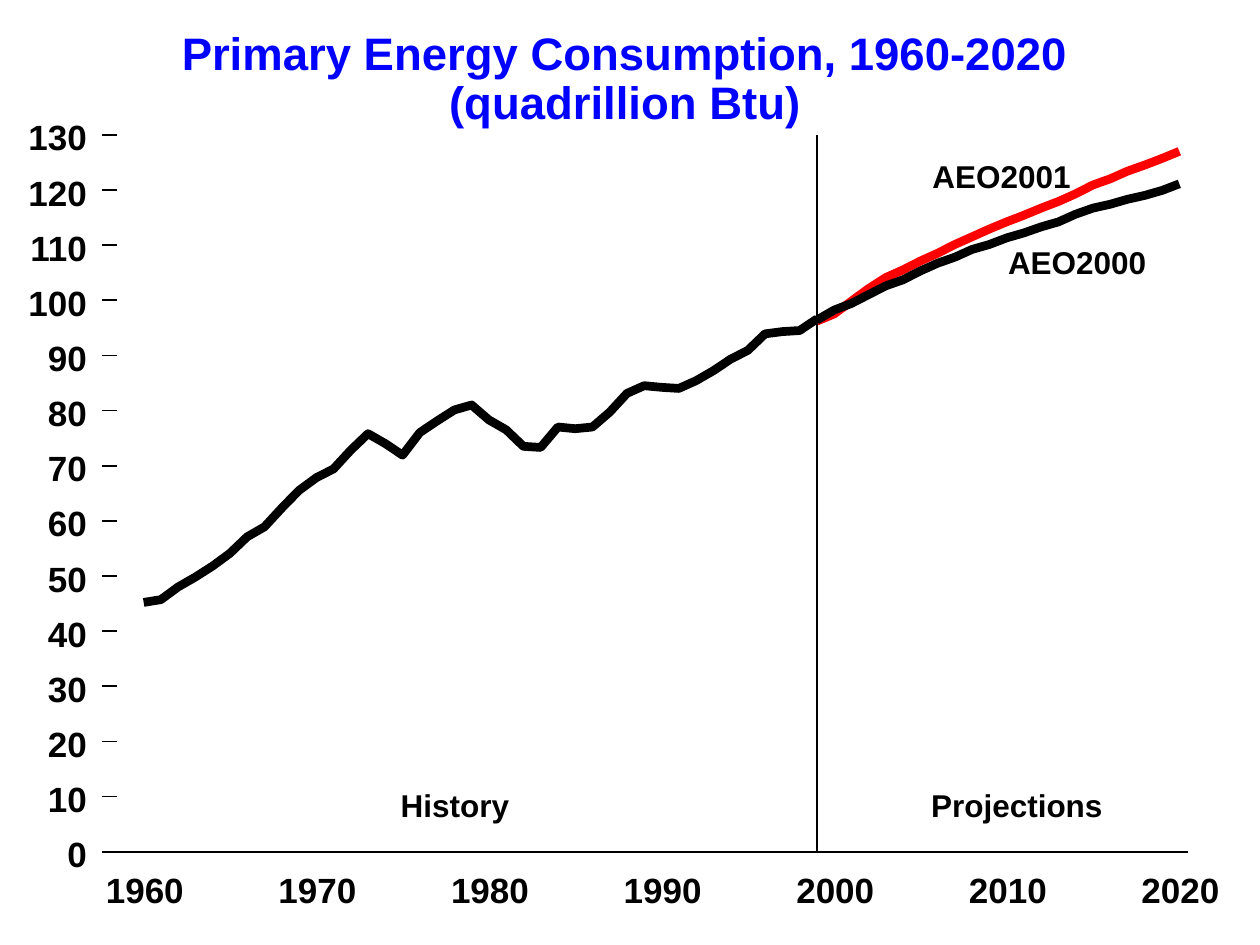
from dataclasses import dataclass

from lxml import etree
from pptx import Presentation
from pptx import util as u
from pptx.dml.color import RGBColor
from pptx.enum import shapes, text
from pptx.oxml import ns

COLORS = {"title": "0000FF", "ink": "000000", "aeo2001": "FF0000"}
FONT = "Arial"
FIRST_YEAR, LAST_YEAR, SPLIT_YEAR = 1960, 2020, 1999
TOP_VALUE, STEP = 130, 10
YEAR_LEFT, YEAR_WIDTH = 1.14, 0.137
AXIS_Y, AXIS_TOP = 6.76, 1.07
TICK_LEFT, AXIS_LEFT, AXIS_RIGHT = 0.81, 0.93, 9.43
LABEL_RIGHT, DIGIT_WIDTH, LABEL_HEIGHT = 0.69, 0.16, 0.33


@dataclass
class Series:
    start: int
    values: list[float]
    color: str


@dataclass
class Label:
    wording: str
    left: float
    top: float
    width: float
    height: float = 0.3
    size: int = 18
    color: str = "ink"
    align: text.PP_ALIGN = text.PP_ALIGN.LEFT
    spacing: float = 1.0


SERIES = [
    Series(SPLIT_YEAR, [
        96.2, 97.5, 99.8, 102.1, 104.1, 105.5, 107.1, 108.5, 110.1, 111.5, 112.9,
        114.2, 115.4, 116.7, 117.9, 119.3, 120.9, 122.0, 123.4, 124.5, 125.7, 127.0,
    ], "aeo2001"),
    Series(SPLIT_YEAR, [
        96.4, 98.2, 99.4, 101.0, 102.6, 103.7, 105.3, 106.7, 107.8, 109.2, 110.1,
        111.3, 112.2, 113.3, 114.2, 115.6, 116.7, 117.4, 118.3, 119.0, 119.9, 121.1,
    ], "ink"),
    Series(FIRST_YEAR, [
        45.2, 45.7, 48.0, 49.8, 51.8, 54.1, 57.1, 58.9, 62.3, 65.5,
        67.8, 69.4, 72.8, 75.8, 74.0, 71.9, 76.0, 78.1, 80.1, 81.0,
        78.3, 76.5, 73.5, 73.3, 77.0, 76.7, 77.0, 79.7, 83.1, 84.5,
        84.2, 84.0, 85.4, 87.2, 89.3, 90.9, 93.9, 94.3, 94.5, 96.6,
    ], "ink"),
]

TITLE = Label("Primary Energy Consumption, 1960-2020\n(quadrillion Btu)",
              1.44, 0.25, 7.04, 0.78, 26, "title", text.PP_ALIGN.CENTER, 0.9)
NOTES = [
    Label("History", 3.18, 6.24, 0.9),
    Label("Projections", 7.39, 6.24, 1.4),
    Label("AEO2001", 7.4, 1.25, 1.12),
    Label("AEO2000", 8, 1.93, 1.12),
]


def year_x(year: int) -> float:
    return YEAR_LEFT + (year - FIRST_YEAR) * YEAR_WIDTH


def value_y(value: float) -> float:
    return AXIS_Y - value * (AXIS_Y - AXIS_TOP) / TOP_VALUE


def draw_label(page, label: Label) -> None:
    box = page.shapes.add_textbox(u.Inches(label.left), u.Inches(label.top),
                                  u.Inches(label.width), u.Inches(label.height))
    frame = box.text_frame
    frame.margin_left = frame.margin_right = frame.margin_top = frame.margin_bottom = 0
    frame.word_wrap = False
    frame.auto_size = text.MSO_AUTO_SIZE.SHAPE_TO_FIT_TEXT
    frame.text = label.wording
    for para in frame.paragraphs:
        para.alignment = label.align
        para.line_spacing = label.spacing
        for span in para.runs:
            span.font.name = FONT
            span.font.size = u.Pt(label.size)
            span.font.bold = True
            span.font.color.rgb = RGBColor.from_string(COLORS[label.color])


def draw_line(page, x1: float, y1: float, x2: float, y2: float) -> None:
    line = page.shapes.add_connector(
        shapes.MSO_CONNECTOR.STRAIGHT,
        u.Inches(x1), u.Inches(y1), u.Inches(x2), u.Inches(y2))
    line.line.color.rgb = RGBColor.from_string(COLORS["ink"])
    line.line.width = u.Pt(1)
    etree.SubElement(line._element.spPr, ns.qn("a:effectLst"))


def draw_series(page, series: Series) -> None:
    points = [(u.Inches(year_x(year)), u.Inches(value_y(value)))
              for year, value in enumerate(series.values, series.start)]
    builder = page.shapes.build_freeform(*points[0])
    builder.add_line_segments(points[1:], close=False)
    curve = builder.convert_to_shape()
    curve.shadow.inherit = False
    curve.fill.background()
    curve.line.color.rgb = RGBColor.from_string(COLORS[series.color])
    curve.line.width = u.Pt(5)


def draw_axes(page) -> None:
    draw_line(page, AXIS_LEFT, AXIS_Y, AXIS_RIGHT, AXIS_Y)
    for year in range(FIRST_YEAR, LAST_YEAR + 1, 10):
        draw_label(page, Label(str(year), year_x(year) - 0.3, 6.89, 0.63,
                               LABEL_HEIGHT, 20))
    for value in range(0, TOP_VALUE + 1, STEP):
        y = value_y(value)
        draw_line(page, TICK_LEFT, y, AXIS_LEFT, y)
        width = DIGIT_WIDTH * len(str(value))
        draw_label(page, Label(str(value), LABEL_RIGHT - width, y - 0.15, width,
                               LABEL_HEIGHT, 20, align=text.PP_ALIGN.RIGHT))


def main() -> None:
    deck = Presentation()
    deck.slide_width = u.Inches(10)
    deck.slide_height = u.Inches(7.5)
    page = deck.slides.add_slide(deck.slide_layouts[6])
    draw_label(page, TITLE)
    draw_line(page, year_x(SPLIT_YEAR), AXIS_TOP, year_x(SPLIT_YEAR), AXIS_Y)
    for series in SERIES:
        draw_series(page, series)
    draw_axes(page)
    for note in NOTES:
        draw_label(page, note)
    deck.save("out.pptx")


if __name__ == "__main__":
    main()
